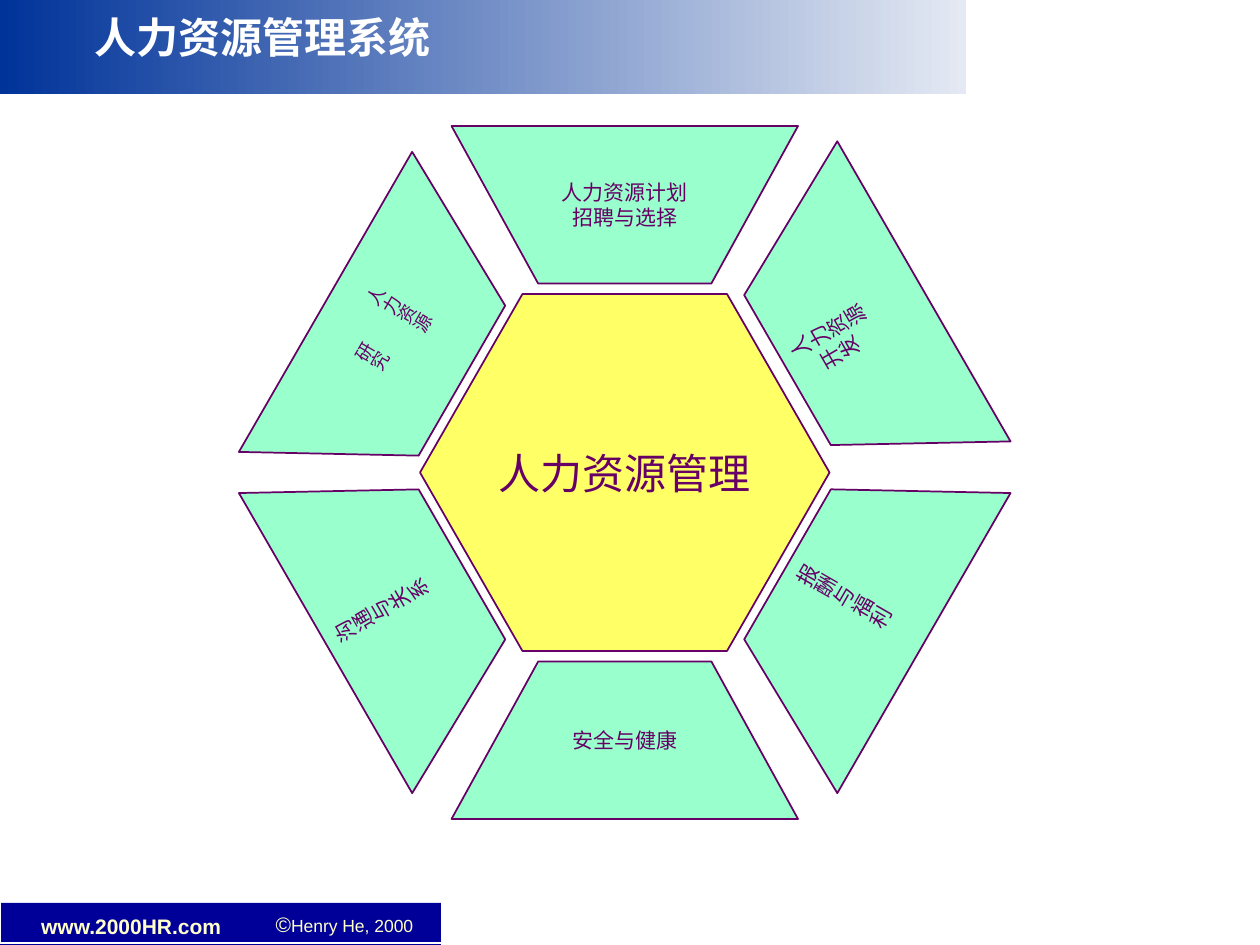
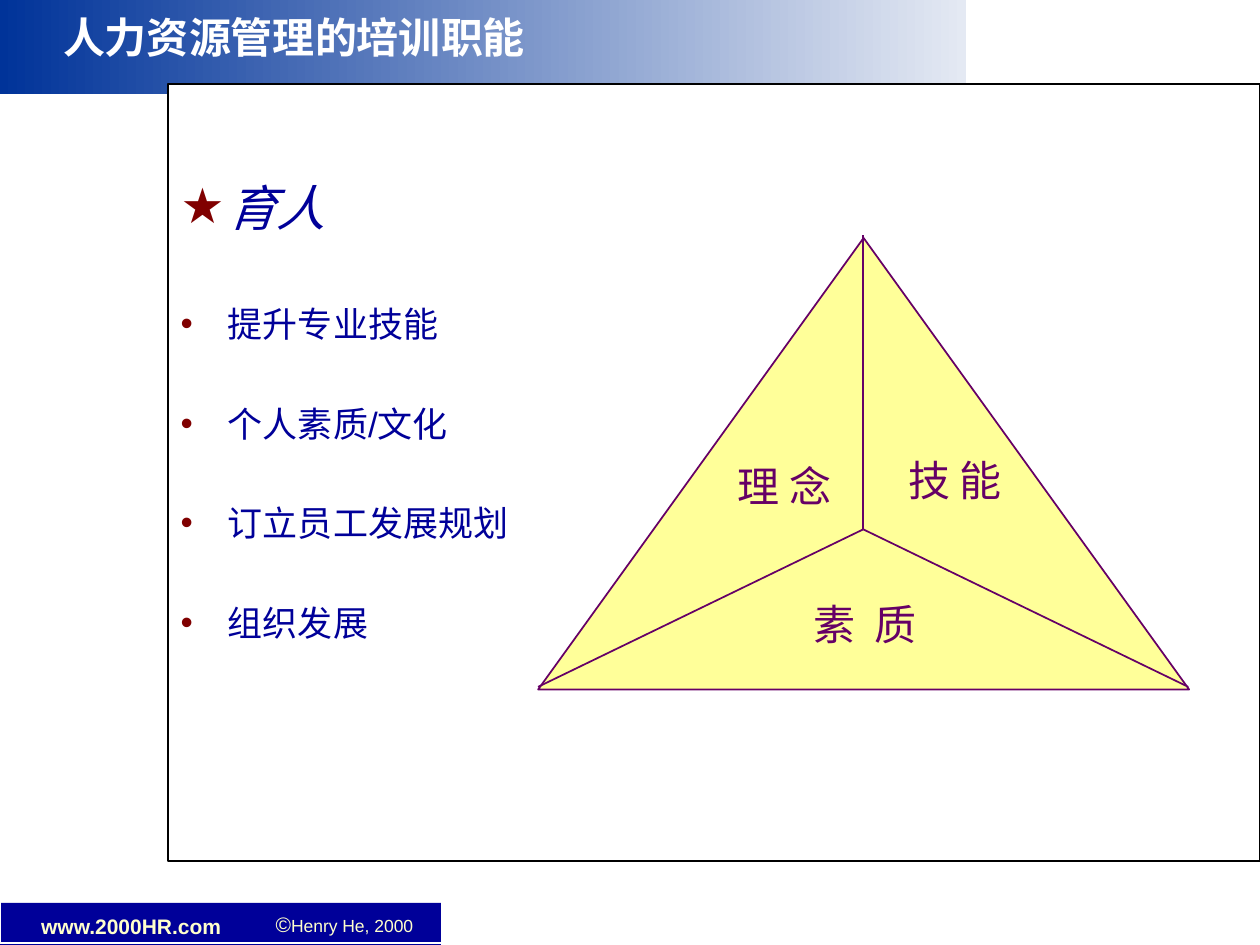
from lxml import etree
from pptx import Presentation
from pptx.dml.color import RGBColor
from pptx.enum.shapes import MSO_CONNECTOR, MSO_SHAPE
from pptx.enum.text import MSO_ANCHOR, MSO_AUTO_SIZE, PP_ALIGN
from pptx.oxml import parse_xml
from pptx.oxml.ns import nsdecls, qn
from pptx.util import Pt

WHITE = RGBColor(0xFF, 0xFF, 0xFF)
BLACK = RGBColor(0, 0, 0)
NAVY = RGBColor(0, 0, 0x99)
BAND_BLUE = RGBColor(0, 0x33, 0x99)
BAND_PALE = RGBColor(0xE4, 0xE9, 0xF3)
CREAM = RGBColor(0xFF, 0xFF, 0xCC)
PURPLE = RGBColor(0x66, 0, 0x66)
MINT = RGBColor(0x99, 0xFF, 0xCC)
YELLOW = RGBColor(0xFF, 0xFF, 0x66)
PALE_YELLOW = RGBColor(0xFF, 0xFF, 0x99)
MAROON = RGBColor(0x80, 0, 0)

SANS = "Arial"
SERIF = "Times New Roman"

PETAL_W, PETAL_H = 198, 90
# left, top, rotation, vertical text, text turn, size, baseline, lines
PETALS = [
    (126, 150, 300, True, 0, 18, -60, ["人力资源", "研究"]),
    (258, 72, 0, False, 0, 12, 0, ["人力资源计划", "招聘与选择"]),
    (126, 300, 240, True, 0, 12, 0, ["沟通与关系"]),
    (390, 144, 60, True, 180, 12, 0, ["人力资源", "开发"]),
    (390, 300, 120, True, 180, 12, 0, ["报酬与福利"]),
    (258, 378, 180, False, 180, 12, 0, ["安全与健康"]),
]


def place(shape, left, top, width, height):
    shape.left, shape.top = Pt(left), Pt(top)
    shape.width, shape.height = Pt(width), Pt(height)


def write(tf, lines, size, color, font=SERIF, bold=False, italic=False,
          align=PP_ALIGN.CENTER, anchor=MSO_ANCHOR.MIDDLE, wrap=False,
          margins=(7.2, 3.6), baseline=0):
    """Fill a text frame; margins are (left and right, top and bottom)."""
    tf.word_wrap = wrap
    tf.auto_size = MSO_AUTO_SIZE.NONE
    tf.vertical_anchor = anchor
    tf.margin_left = tf.margin_right = Pt(margins[0])
    tf.margin_top = tf.margin_bottom = Pt(margins[1])
    for i, line in enumerate(lines):
        p = tf.paragraphs[0] if i == 0 else tf.add_paragraph()
        p.alignment = align
        r = p.add_run()
        r.text = line
        f = r.font
        f.name, f.size, f.bold, f.italic = font, Pt(size), bold, italic
        f.color.rgb = color
        if baseline:
            r.font._element.set("baseline", str(baseline * 1000))


def set_bullet(p, char, color, indent, percent=100):
    """Give a paragraph a hanging bullet."""
    pPr = p._p.get_or_add_pPr()
    pPr.set("marL", str(Pt(indent)))
    pPr.set("indent", str(-Pt(indent)))
    clr = etree.SubElement(pPr, qn("a:buClr"))
    etree.SubElement(clr, qn("a:srgbClr")).set("val", str(color))
    etree.SubElement(pPr, qn("a:buSzPct")).set("val", str(percent * 1000))
    etree.SubElement(pPr, qn("a:buFont")).set("typeface", SANS)
    etree.SubElement(pPr, qn("a:buChar")).set("char", char)


def paint(shape, fill=None, line=None, width=1):
    shape.shadow.inherit = False
    if fill is None:
        shape.fill.background()
    else:
        shape.fill.solid()
        shape.fill.fore_color.rgb = fill
    if line is None:
        shape.line.fill.background()
    else:
        shape.line.color.rgb = line
        shape.line.width = Pt(width)


def add_preset(s, kind, box, **look):
    sp = s.shapes.add_shape(kind, *map(Pt, box))
    paint(sp, **look)
    return sp


def add_label(s, text, box, size, color, **fmt):
    sp = s.shapes.add_textbox(*map(Pt, box))
    write(sp.text_frame, [text], size, color, **fmt)
    return sp


def add_line(s, x1, y1, x2, y2):
    c = s.shapes.add_connector(MSO_CONNECTOR.STRAIGHT, Pt(x1), Pt(y1), Pt(x2), Pt(y2))
    c.line.color.rgb = PURPLE
    c.line.width = Pt(1)
    c._element.spPr.append(parse_xml(f"<a:effectLst {nsdecls('a')}/>"))


def add_petal(s, left, top, rotation, vertical, turn, size, baseline, lines):
    """Draw a rotated trapezoid whose text may run vertically or be turned."""
    corners = [(PETAL_W, 0), (PETAL_W * 0.75, PETAL_H), (PETAL_W * 0.25, PETAL_H)]
    fb = s.shapes.build_freeform(Pt(left), Pt(top))
    fb.add_line_segments([(Pt(left + x), Pt(top + y)) for x, y in corners])
    sp = fb.convert_to_shape()
    paint(sp, MINT, PURPLE)
    sp.rotation = rotation
    write(sp.text_frame, lines, size, PURPLE, baseline=baseline,
          margins=(3.6, 7.2) if vertical else (7.2, 3.6))
    bodyPr = sp.text_frame._txBody.bodyPr
    if vertical:
        bodyPr.set("vert", "eaVert")
    if turn:
        bodyPr.set("rot", str(turn * 60000))


def build_master(prs, s):
    """Make the band and footer on a slide, then move them behind the master's text."""
    footer = add_preset(s, MSO_SHAPE.RECTANGLE, (0, 516, 252, 24), fill=NAVY)
    frame = add_preset(s, MSO_SHAPE.RECTANGLE, (0, 0, 718, 539), line=WHITE)
    author = add_label(s, "Henry He, 2000", (157.5, 524, 84, 11), 10, CREAM, font=SANS,
                       align=PP_ALIGN.LEFT, margins=(0, 0), wrap=True)
    p = author.text_frame.paragraphs[0]
    p.line_spacing = 0.9
    set_bullet(p, "©", CREAM, 7.5, 120)
    site = add_label(s, "www.2000HR.com", (0, 518.5, 150, 21.5), 12, CREAM, font=SANS,
                     bold=True, anchor=MSO_ANCHOR.TOP, wrap=True)
    band = add_preset(s, MSO_SHAPE.RECTANGLE, (0, 0, 552, 54))
    band.fill.gradient()
    band.fill.gradient_angle = 0
    for stop, color in zip(band.fill.gradient_stops, (BAND_BLUE, BAND_PALE)):
        stop.color.rgb = color
    tree = prs.slide_master.shapes.element
    for i, sp in enumerate((footer, frame, author, site, band)):
        sp.element.xpath(".//p:cNvPr")[0].set("id", str(100 + i))
        tree.insert(2 + i, sp.element)


def set_title(s, text, left):
    title = s.shapes.title
    place(title, left, 0, 336, 42)
    write(title.text_frame, [text], 24, WHITE, bold=True, wrap=True)


def fill_system(s):
    set_title(s, "人力资源管理系统", -18)
    hexagon = add_preset(s, MSO_SHAPE.HEXAGON, (240, 168, 234, 204),
                         fill=YELLOW, line=PURPLE)
    hexagon.adjustments[0] = 0.287
    write(hexagon.text_frame, ["人力资源管理"], 24, PURPLE)
    for petal in PETALS:
        add_petal(s, *petal)


def fill_training(s):
    set_title(s, "人力资源管理的培训职能", 0)
    body = s.placeholders[1]
    place(body, 96, 48, 624, 444)
    body.fill.solid()
    body.fill.fore_color.rgb = WHITE
    body.line.color.rgb = BLACK
    body.line.width = Pt(0.75)
    tf = body.text_frame
    write(tf, ["育人", "提升专业技能", "个人素质/文化", "订立员工发展规划", "组织发展"],
          20, NAVY, font=SANS, align=PP_ALIGN.LEFT, anchor=MSO_ANCHOR.TOP, wrap=True)
    tf.margin_top = Pt(28)
    for i, p in enumerate(tf.paragraphs):
        p.line_spacing = 1.75
        p.space_before = Pt(2.5 if i else 0)
        p.space_after = Pt(12.5 if i else 17.5)
        set_bullet(p, "•" if i else "★", MAROON, 27)
    heading = tf.paragraphs[0].runs[0].font
    heading.size, heading.italic = Pt(28), True

    add_preset(s, MSO_SHAPE.ISOSCELES_TRIANGLE, (307.5, 136, 372, 258),
               fill=PALE_YELLOW, line=PURPLE)
    centre = (493.3, 302.5)
    for corner in ((307.5, 392.5), (493.3, 134.5), (679, 392.5)):
        add_line(s, *corner, *centre)
    for text, left, top, width in (("理 念", 414.5, 259.5, 68),
                                   ("技 能", 512, 256, 68),
                                   ("素  质", 458, 338.5, 73)):
        add_label(s, text, (left, top, width, 36), 24, PURPLE,
                  align=PP_ALIGN.LEFT, anchor=MSO_ANCHOR.TOP)


def main():
    prs = Presentation()
    prs.slide_width, prs.slide_height = Pt(720), Pt(540)
    content, title_only = prs.slide_layouts[1], prs.slide_layouts[5]
    system = prs.slides.add_slide(title_only)
    build_master(prs, system)
    fill_system(system)
    fill_training(prs.slides.add_slide(content))
    prs.save("out.pptx")


if __name__ == "__main__":
    main()
